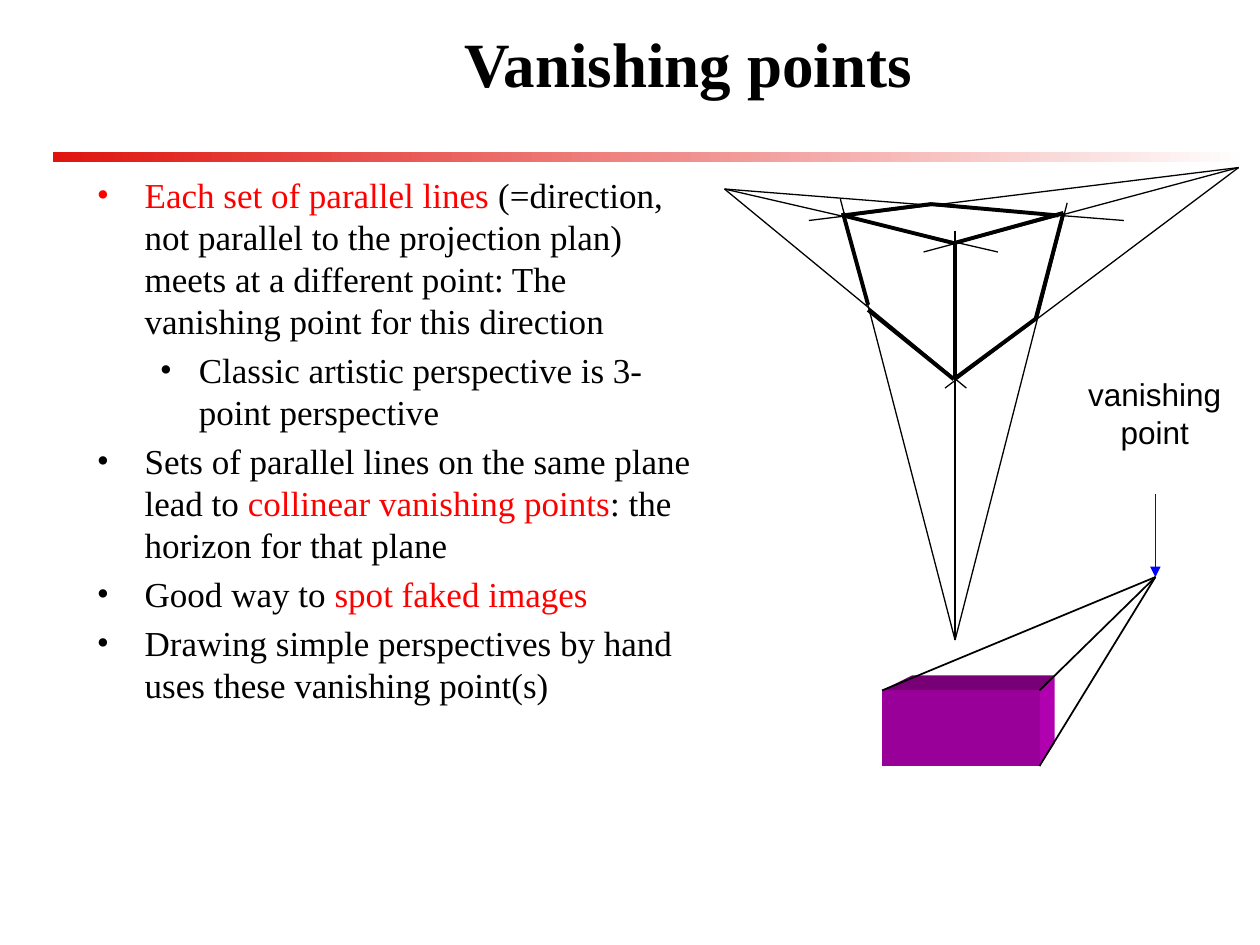
from lxml.etree import SubElement
from pptx import Presentation
from pptx.dml.color import RGBColor
from pptx.enum.shapes import MSO_CONNECTOR, MSO_SHAPE
from pptx.enum.text import MSO_ANCHOR, PP_ALIGN
from pptx.oxml.ns import qn
from pptx.util import Inches, Pt

COLORS = {
    "text": "000000", "accent": "FF0000", "bar": "DF140F", "white": "FFFFFF",
    "arrow": "0000FF", "front": "990099", "top": "770077", "side": "B000B0",
}
SERIF, SANS = "Times New Roman", "Arial"

# Each bullet: level, then (text, colour) runs
BULLETS = [
    (0, [("Each set of parallel lines ", "accent"),
         ("(=direction, not parallel to the projection plan) meets at a "
          "different point: The vanishing point for this direction", "text")]),
    (1, [("Classic artistic perspective is 3-point perspective", "text")]),
    (0, [("Sets of parallel lines on the same plane lead to ", "text"),
         ("collinear vanishing points", "accent"),
         (": the horizon for that plane", "text")]),
    (0, [("Good way to ", "text"), ("spot faked images", "accent")]),
    (0, [("Drawing simple perspectives by hand uses these vanishing point(s)",
          "text")]),
]
INDENTS = [(0.38, -0.38), (0.81, -0.31)]


def rgb(name):
    return RGBColor.from_string(COLORS[name])


def add_run(p, text, color="text", **font):
    r = p.add_run()
    r.text = text
    for name, value in font.items():
        setattr(r.font, name, value)
    r.font.color.rgb = rgb(color)


def add_text(s, box, **frame):
    tf = s.shapes.add_textbox(*map(Inches, box)).text_frame
    tf.word_wrap = True
    for name, value in frame.items():
        setattr(tf, name, value)
    return tf


def add_line(s, start, end, width, color="text", arrow=False):
    c = s.shapes.add_connector(MSO_CONNECTOR.STRAIGHT,
                               *map(Inches, (*start, *end)))
    c.line.width = Pt(width)
    c.line.color.rgb = rgb(color)
    if arrow:
        SubElement(c.line._get_or_add_ln(), qn("a:tailEnd"), type="triangle")
    SubElement(c._element.spPr, qn("a:effectLst"))


def add_face(s, points, color):
    (x, y), *rest = [(Inches(a), Inches(b)) for a, b in points]
    builder = s.shapes.build_freeform(x, y)
    builder.add_line_segments(rest, close=True)
    sp = builder.convert_to_shape()
    sp.shadow.inherit = False
    sp.fill.solid()
    sp.fill.fore_color.rgb = rgb(color)
    sp.line.fill.background()


def add_bar(s, box):
    sp = s.shapes.add_shape(MSO_SHAPE.RECTANGLE, *map(Inches, box))
    sp.shadow.inherit = False
    sp.line.fill.background()
    sp.fill.gradient()
    sp.fill.gradient_angle = 0
    for stop, (position, color) in zip(sp.fill.gradient_stops,
                                       [(0, "bar"), (1, "white")]):
        stop.position = position
        stop.color.rgb = rgb(color)


def add_title(s, box):
    p = add_text(s, box, vertical_anchor=MSO_ANCHOR.MIDDLE).paragraphs[0]
    p.alignment = PP_ALIGN.CENTER
    add_run(p, "Vanishing points", name=SERIF, size=Pt(36), bold=True)


def add_bullets(s, box):
    tf = add_text(s, box)
    for i, (level, runs) in enumerate(BULLETS):
        p = tf.add_paragraph() if i else tf.paragraphs[0]
        p.level = level
        p.space_before = Pt(4)
        pPr = p._p.get_or_add_pPr()
        for name, value in zip(("marL", "indent"), INDENTS[level]):
            pPr.set(name, str(Inches(value)))
        SubElement(pPr, qn("a:buFont"), typeface=SERIF)
        SubElement(pPr, qn("a:buChar"), char="•")
        for text, color in runs:
            add_run(p, text, color, name=SERIF, size=Pt(20))


def add_three_point_cube(s, box):
    x, y, w, h = box
    left, right, bottom = (x, y + 0.17), (x + w, y), (x + 1.83, y + h)
    # Thin rays: each vanishing point with the far ends of its rays
    rays = [
        (left, [(2.17, 0.67), (3.17, 0.42), (1.92, 1.75)]),
        (right, [(1.58, 0.67), (0.67, 0.42), (1.75, 1.75)]),
        (bottom, [(0.92, 0.25), (2.72, 0.28), (1.83, 0.5)]),
    ]
    for point, ends in rays:
        for dx, dy in ends:
            add_line(s, (x + dx, y + dy), point, 0.75)
    # Thick cube edges, as chains of corners
    chains = [
        [(0.94, 0.36), (1.14, 1.09)],
        [(1.14, 1.13), (1.82, 1.68), (2.47, 1.2), (2.69, 0.36),
         (1.82, 0.6), (0.94, 0.38), (1.64, 0.29), (2.65, 0.38)],
        [(1.83, 0.59), (1.83, 1.67)],
    ]
    for chain in chains:
        corners = [(x + dx, y + dy) for dx, dy in chain]
        for start, end in zip(corners, corners[1:]):
            add_line(s, start, end, 2.25)


def add_one_point_box(s, box, vanishing):
    x, y, w, h = box
    right, bottom = x + w, y + h
    back_right, back_top = right + 0.12, y - 0.12
    # Box faces
    add_face(s, [(x, y), (x + 0.24, back_top), (back_right, back_top),
                 (right, y)], "top")
    add_face(s, [(right, y), (back_right, back_top), (back_right, bottom - 0.18),
                 (right, bottom)], "side")
    add_face(s, [(x, y), (right, y), (right, bottom), (x, bottom)], "front")
    # Rays to the vanishing point
    for corner in [(right, bottom), (right, y), (x, y)]:
        add_line(s, corner, vanishing, 1)


def add_label(s, box, vanishing):
    vx, vy = vanishing
    add_line(s, (vx, vy - 0.66), vanishing, 1, "arrow", arrow=True)
    p = add_text(s, box).paragraphs[0]
    p.alignment = PP_ALIGN.CENTER
    add_run(p, "vanishing point", name=SANS, size=Pt(18))


def main():
    prs = Presentation()
    prs.slide_width, prs.slide_height = Inches(10), Inches(7.5)
    s = prs.slides.add_slide(prs.slide_layouts[6])
    vanishing = (9.17, 4.58)
    add_bar(s, (0.42, 1.21, 9.5, 0.08))
    add_title(s, (1.17, 0.08, 8.58, 0.83))
    add_bullets(s, (0.67, 1.33, 4.93, 4.75))
    add_three_point_cube(s, (5.75, 1.33, 4.08, 3.75))
    add_one_point_box(s, (7, 5.48, 1.25, 0.6), vanishing)
    add_label(s, (8.25, 2.93, 1.83, 0.9), vanishing)
    prs.save("out.pptx")


if __name__ == "__main__":
    main()
